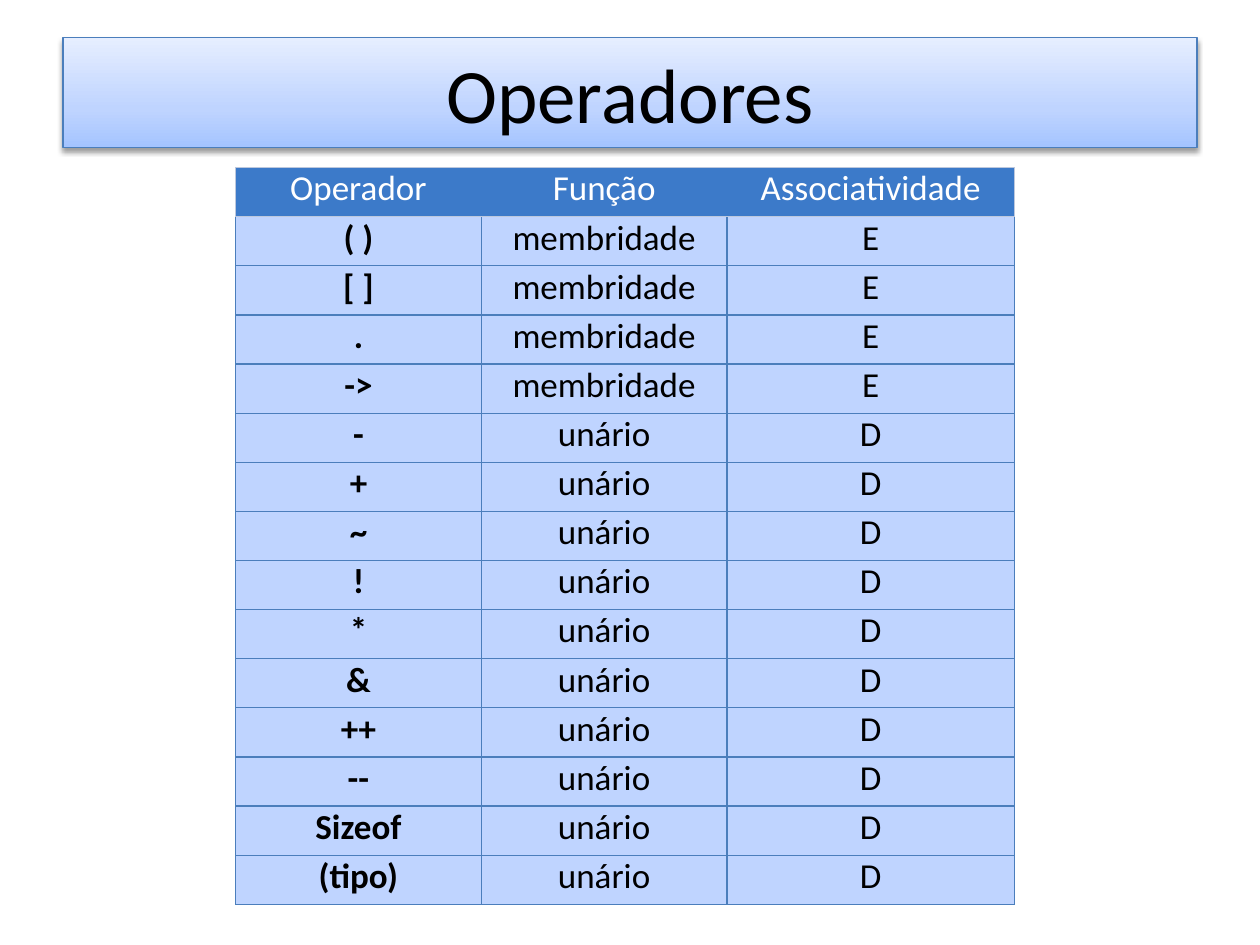
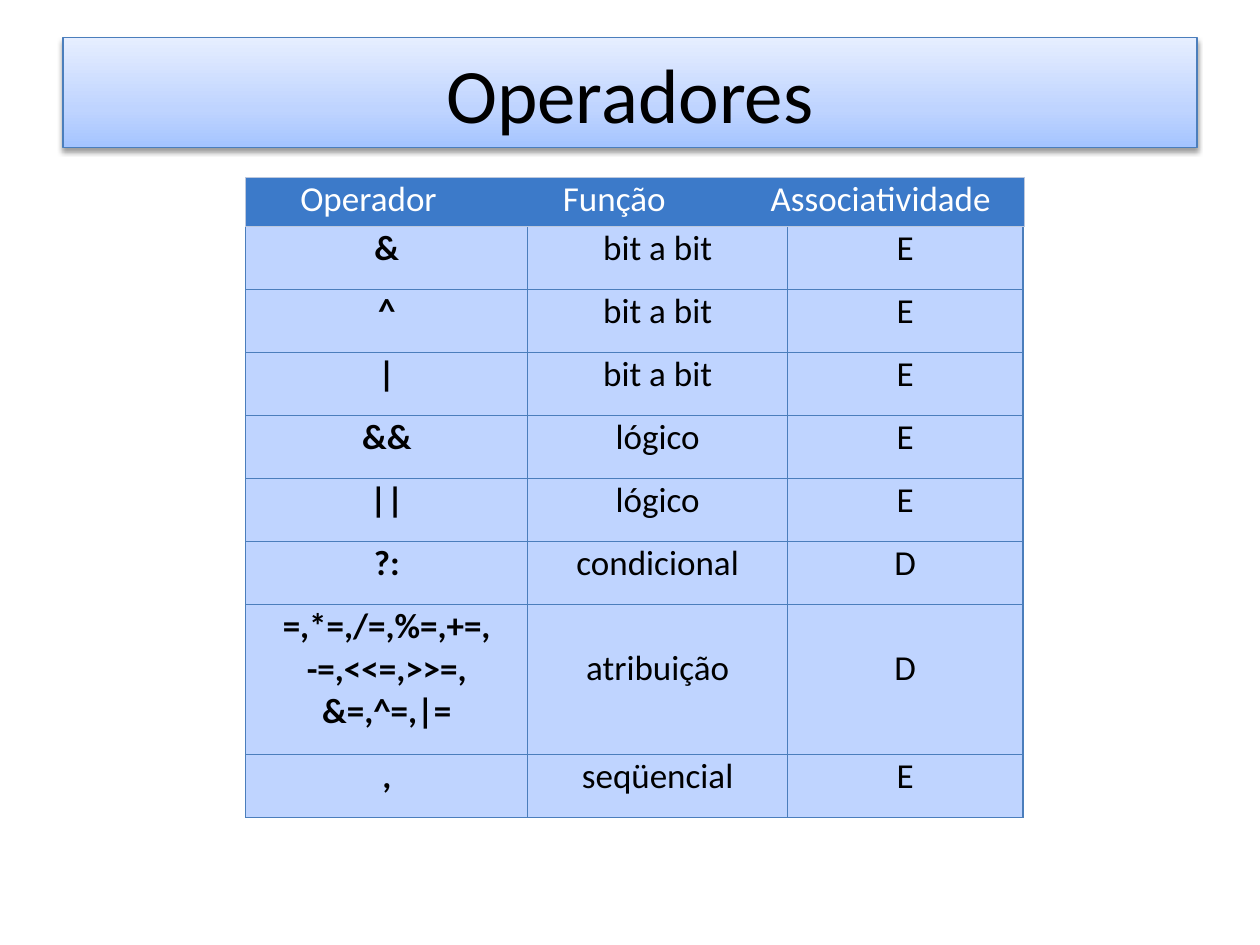
from dataclasses import dataclass

from lxml.etree import SubElement
from pptx import Presentation
from pptx.dml.color import RGBColor
from pptx.enum.shapes import MSO_SHAPE
from pptx.enum.text import MSO_ANCHOR, PP_ALIGN
from pptx.oxml import parse_xml
from pptx.oxml.ns import nsdecls, qn
from pptx.util import Inches, Pt


@dataclass(frozen=True)
class Theme:
    font: str = "Calibri"
    title_size: int = 44
    table_size: int = 20
    line_width: float = 0.75
    text: str = "000000"
    header_text: str = "FFFFFF"
    line: str = "4B7EBC"
    header_line: str = "BDC8DD"
    header_fill: str = "3C7AC9"
    body_fill: str = "BFD4FF"
    title_stops: tuple = ((0, "A4C4FF"), (35, "BFD4FF"), (100, "E6EEFF"))


HEADINGS = ("Operador", "Função", "Associatividade")
HEADER_WIDTHS = (1.95, 1.95, 2.28)
ROW_HEIGHT = 0.39
TALL_ROW_HEIGHT = 0.5
ASSIGNMENT_ROW_HEIGHT = 1.19
LINE_HEIGHT = 0.34

UNARY = ("-", "+", "~", "!", "*", "&", "++", "--", "Sizeof", "(tipo)")
FIRST_OPERATORS = [
    *((operator, "membridade", "E") for operator in ("( )", "[ ]", ".", "->")),
    *((operator, "unário", "D") for operator in UNARY),
]
LAST_OPERATORS = [
    ("&", "bit a bit", "E"),
    ("^", "bit a bit", "E"),
    ("|", "bit a bit", "E"),
    ("&&", "lógico", "E"),
    ("||", "lógico", "E"),
    ("?:", "condicional", "D"),
    ("=,*=,/=,%=,+=,\n-=,<<=,>>=,\n&=,^=,|=", "atribuição", "D"),
    (",", "seqüencial", "E"),
]


class OperatorDeck:
    """Builds the operator slides in one shared style."""

    def __init__(self, theme):
        self.theme = theme
        self.presentation = Presentation()
        self.presentation.slide_width = Inches(10)
        self.presentation.slide_height = Inches(7.5)
        self.slide = None

    def add_slide(self, title):
        self.slide = self.presentation.slides.add_slide(self.presentation.slide_layouts[6])
        self.add_title(title)

    def style_text(self, frame, size, color, bold=False):
        for paragraph in frame.paragraphs:
            paragraph.alignment = PP_ALIGN.CENTER
            font = paragraph.font
            font.name = self.theme.font
            font.size = Pt(size)
            font.bold = bold
            font.color.rgb = RGBColor.from_string(color)

    def add_title(self, title):
        shape = self.slide.shapes.add_shape(
            MSO_SHAPE.RECTANGLE, Inches(0.5), Inches(0.3), Inches(9), Inches(0.87))
        shape.line.color.rgb = RGBColor.from_string(self.theme.line)
        shape.line.width = Pt(self.theme.line_width)
        stops = "".join(
            f'<a:gs pos="{position * 1000}"><a:srgbClr val="{color}"/></a:gs>'
            for position, color in self.theme.title_stops)
        properties = shape.element.spPr
        properties.find(qn("a:prstGeom")).addnext(parse_xml(
            f'<a:gradFill {nsdecls("a")} rotWithShape="1"><a:gsLst>{stops}</a:gsLst>'
            '<a:lin ang="16200000" scaled="0"/></a:gradFill>'))
        shape.shadow.inherit = False
        properties.find(qn("a:effectLst")).append(parse_xml(
            f'<a:outerShdw {nsdecls("a")} blurRad="{Pt(3.1)}" dist="{Pt(1.6)}" '
            'dir="5400000" rotWithShape="0"><a:srgbClr val="000000">'
            '<a:alpha val="38000"/></a:srgbClr></a:outerShdw>'))
        frame = shape.text_frame
        frame.word_wrap = True
        frame.vertical_anchor = MSO_ANCHOR.MIDDLE
        frame.text = title
        self.style_text(frame, self.theme.title_size, self.theme.text)

    def set_borders(self, cell, color, sides):
        properties = cell._tc.get_or_add_tcPr()
        for side in "LRTB":
            line = SubElement(properties, qn(f"a:ln{side}"), w=str(Pt(self.theme.line_width)))
            if side in sides:
                fill = SubElement(line, qn("a:solidFill"))
                SubElement(fill, qn("a:srgbClr"), val=color)
            else:
                SubElement(line, qn("a:noFill"))

    def add_grid(self, left, top, widths, heights, rows):
        frame = self.slide.shapes.add_table(
            len(rows), len(widths), Inches(left), Inches(top),
            Inches(sum(widths)), Inches(sum(heights)))
        table = frame.table
        table.first_row = table.horz_banding = False
        for column, width in zip(table.columns, widths):
            column.width = Inches(width)
        for row, height in zip(table.rows, heights):
            row.height = Inches(height)
        for row, texts in zip(table.rows, rows):
            for cell, text in zip(row.cells, texts):
                cell.margin_left = cell.margin_right = Inches(0.05)
                cell.margin_top = cell.margin_bottom = 0
                cell.text = text
        return table

    def style_cell(self, cell, fill, color, line, sides, bold=False):
        self.set_borders(cell, line, sides)
        cell.fill.solid()
        cell.fill.fore_color.rgb = RGBColor.from_string(fill)
        self.style_text(cell.text_frame, self.theme.table_size, color, bold)

    def add_body(self, left, top, widths, heights, rows):
        theme = self.theme
        table = self.add_grid(left, top, widths, heights, rows)
        for row, texts in zip(table.rows, rows):
            for index, cell in enumerate(row.cells):
                self.style_cell(cell, theme.body_fill, theme.text, theme.line, "LRTB", index == 0)
                if "\n" in texts[0] and index > 0:
                    cell.margin_top = Inches(LINE_HEIGHT)

    def add_header(self, left, top):
        theme = self.theme
        table = self.add_grid(left, top, HEADER_WIDTHS, [ROW_HEIGHT], [HEADINGS])
        for cell, sides in zip(table.rows[0].cells, ("LTB", "TB", "TBR")):
            self.style_cell(cell, theme.header_fill, theme.header_text, theme.header_line, sides)

    def add_operators(self, left, top, widths, heights, rows):
        self.add_slide("Operadores")
        self.add_body(left, top + ROW_HEIGHT, widths, heights, rows)
        self.add_header(left, top)


def main():
    deck = OperatorDeck(Theme())
    deck.add_operators(1.87, 1.33, HEADER_WIDTHS,
                       [ROW_HEIGHT] * len(FIRST_OPERATORS), FIRST_OPERATORS)
    heights = [ASSIGNMENT_ROW_HEIGHT if "\n" in operator else TALL_ROW_HEIGHT
               for operator, *_ in LAST_OPERATORS]
    deck.add_operators(1.95, 1.41, (2.24, 2.06, 1.87), heights, LAST_OPERATORS)
    deck.presentation.save("out.pptx")


if __name__ == "__main__":
    main()
